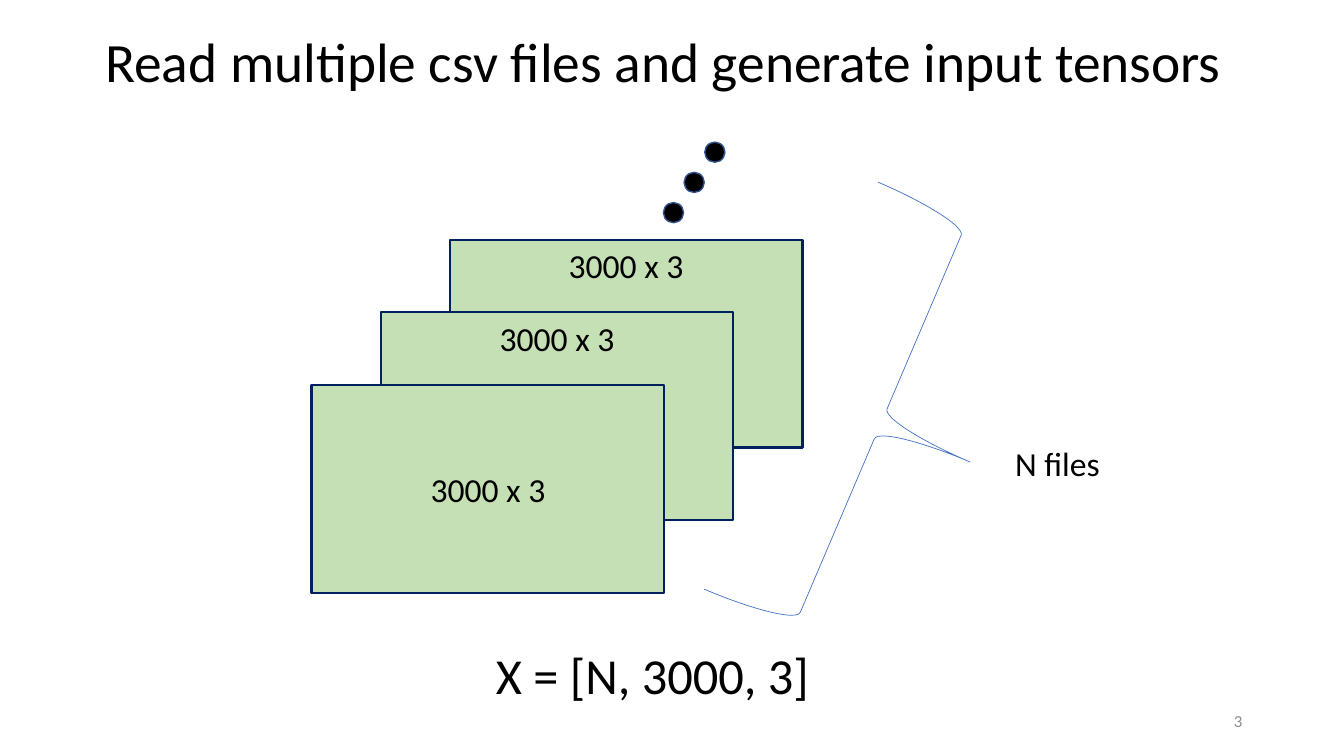
from pptx import Presentation
from pptx.dml.color import RGBColor
from pptx.enum.shapes import MSO_SHAPE as Preset
from pptx.enum.text import MSO_ANCHOR as Anchor, PP_ALIGN as Align
from pptx.util import Inches, Pt


def color(value):
    return RGBColor.from_string(value)


def write(shape, text, size, align, anchor, text_color="000000"):
    frame = shape.text_frame
    frame.word_wrap = True
    frame.vertical_anchor = anchor
    paragraph = frame.paragraphs[0]
    paragraph.text = text
    paragraph.alignment = align
    paragraph.font.name = "Calibri"
    paragraph.font.size = Pt(size)
    paragraph.font.color.rgb = color(text_color)
    return paragraph


def add_label(slide, box, text, size, align=Align.LEFT, anchor=Anchor.TOP, text_color="000000"):
    label = slide.shapes.add_textbox(*map(Inches, box))
    return write(label, text, size, align, anchor, text_color)


def add_figure(slide, preset, box, fill, line, line_width):
    shape = slide.shapes.add_shape(preset, *map(Inches, box))
    shape.shadow.inherit = False
    if fill:
        shape.fill.solid()
        shape.fill.fore_color.rgb = color(fill)
    else:
        shape.fill.background()
    shape.line.color.rgb = color(line)
    shape.line.width = Pt(line_width)
    return shape


def add_file_stack(slide, left, top, width, height):
    card_width, card_height = 3.5, 2.06
    step_x, step_y = (width - card_width) / 2, (height - card_height) / 2
    for index, anchor in enumerate((Anchor.TOP, Anchor.TOP, Anchor.MIDDLE)):
        box = (left + (2 - index) * step_x, top + index * step_y, card_width, card_height)
        card = add_figure(slide, Preset.RECTANGLE, box, "C5E0B4", "002060", 1.5)
        write(card, "3000 x 3", 24, Align.CENTER, anchor)


def add_dots(slide, left, top, width, height):
    diameter = 0.2
    for index in range(3):
        x = left + (2 - index) * (width - diameter) / 2
        y = top + index * (height - diameter) / 2
        add_figure(slide, Preset.OVAL, (x, y, diameter, diameter), "000000", "325491", 1)


def add_file_count(slide, left, top, width, height):
    brace_box = (left, top, 1.93, height)
    brace = add_figure(slide, Preset.RIGHT_BRACE, brace_box, None, "4472C4", 0.5)
    brace.rotation = 23.1
    label_width = 1.06
    add_label(slide, (left + width - label_width, top + 2.33, label_width, 0.5), "N files", 24)


def main():
    presentation = Presentation()
    presentation.slide_width = Inches(13.33)
    presentation.slide_height = Inches(7.5)
    slide = presentation.slides.add_slide(presentation.slide_layouts[6])

    title = add_label(slide, (0.83, 0.28, 11.5, 0.72),
                      "Read multiple csv files and generate input tensors",
                      39.6, Align.CENTER, Anchor.MIDDLE)
    title.line_spacing = 0.9
    add_file_stack(slide, 3.09, 2.38, 4.87, 3.5)
    add_dots(slide, 6.58, 1.41, 0.61, 0.8)
    add_file_count(slide, 7.77, 2.01, 3.26, 4.39)
    add_label(slide, (4.82, 6.34, 4.9, 0.71), "X = [N, 3000, 3]", 36)
    add_label(slide, (9.42, 6.95, 3, 0.4), "3", 12, Align.RIGHT, Anchor.MIDDLE, "8C8C8C")
    presentation.save("out.pptx")


if __name__ == "__main__":
    main()
